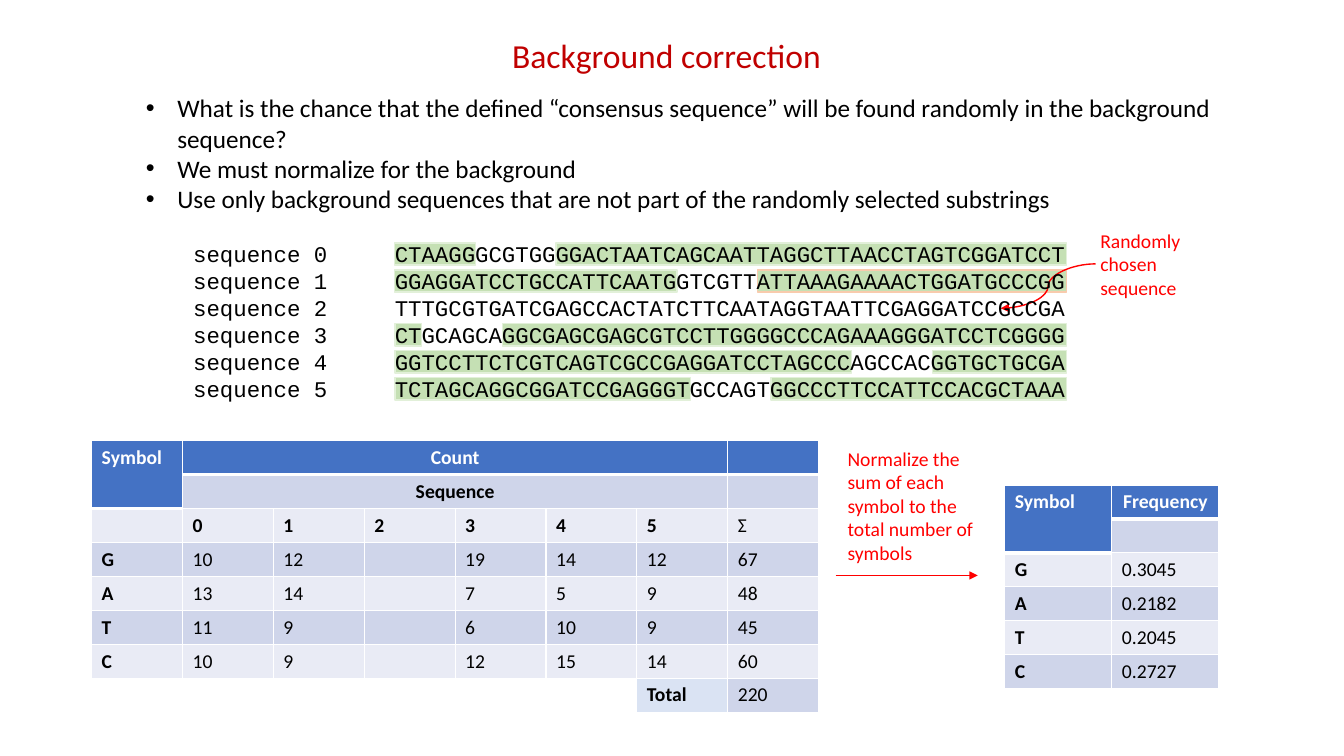
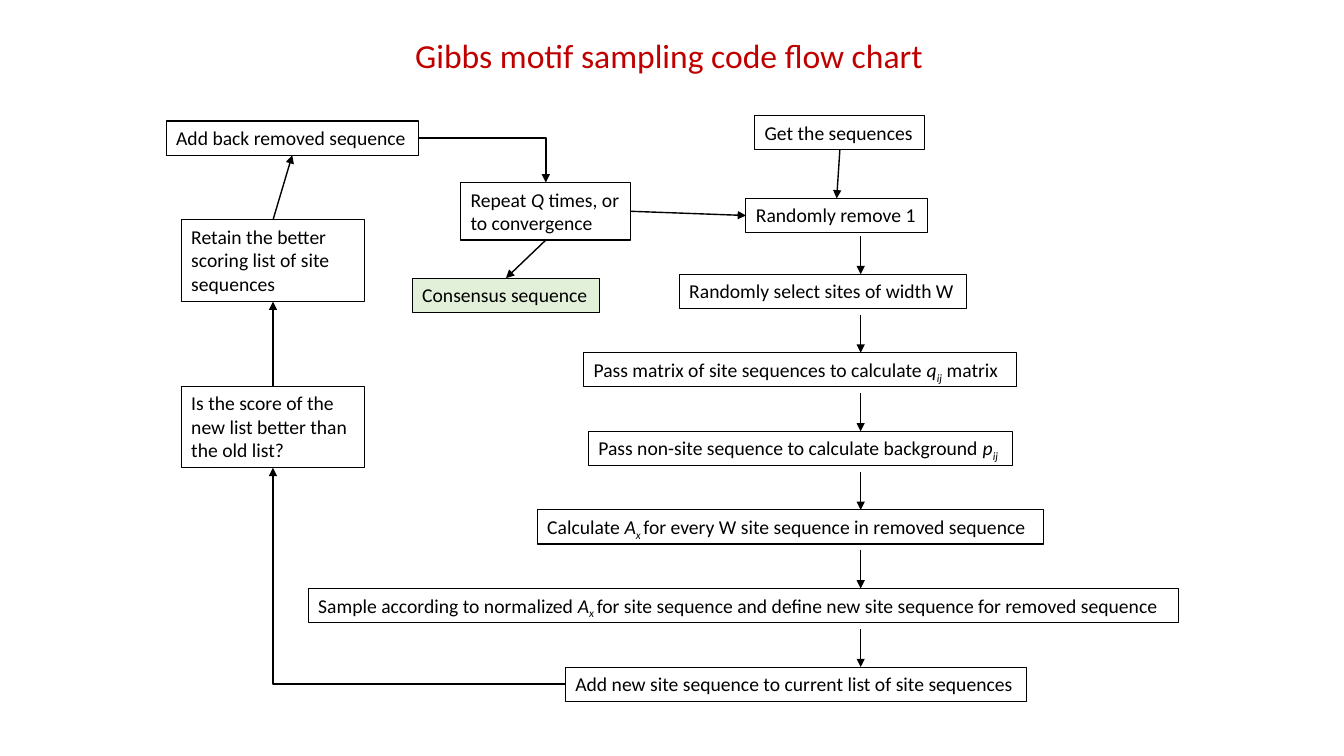
from dataclasses import dataclass

from lxml import etree
from pptx import Presentation
from pptx.dml.color import RGBColor
from pptx.enum.shapes import MSO_CONNECTOR, MSO_SHAPE
from pptx.enum.text import MSO_ANCHOR, MSO_AUTO_SIZE, PP_ALIGN
from pptx.oxml.ns import qn
from pptx.util import Cm, Pt

RECT = MSO_SHAPE.RECTANGLE
STRAIGHT, ELBOW, CURVE = MSO_CONNECTOR.STRAIGHT, MSO_CONNECTOR.ELBOW, MSO_CONNECTOR.CURVE
LEFT, CENTER = PP_ALIGN.LEFT, PP_ALIGN.CENTER
TOP, BOTTOM_SITE, LEFT_SITE, RIGHT_SITE, TOP_SITE = MSO_ANCHOR.TOP, 2, 1, 3, 0

COLORS = {
    "title": "C00000", "text": "000000", "note": "FF0000", "white": "FFFFFF",
    "header": "4472C4", "band_dark": "CFD5EA", "band_light": "E9EBF5", "total": "DAE3F3",
    "mark": "C5E0B4", "mark_line": "E2F0D9", "chosen_line": "F8CBAD", "result": "E2F0D9",
}
SANS, MONO = "Calibri", "Courier New"


@dataclass(frozen=True)
class Span:
    text: str
    italic: bool = False
    sub: bool = False


@dataclass(frozen=True)
class Box:
    """A flow chart step; lengths in cm, one tuple of spans per paragraph."""
    name: str
    left: float
    top: float
    width: float
    lines: tuple
    height: float = 0.86
    wrap: bool = False
    fill: str = "white"


@dataclass(frozen=True)
class Link:
    start: str
    start_site: int
    end: str
    end_site: int
    bent: bool = False


def rgb(name: str) -> RGBColor:
    return RGBColor.from_string(COLORS[name])


def add_run(p, span: Span, size: float, color: str = "text", font: str = SANS, bold=None):
    r = p.add_run()
    r.text = span.text
    r.font.name, r.font.size, r.font.bold = font, Pt(size), bold
    r.font.color.rgb = rgb(color)
    if span.italic:
        r.font.italic = True
    if span.sub:
        r.font._element.set("baseline", "-25000")


def fill_text(tf, lines, size: float, color: str = "text", font: str = SANS, wrap: bool = True) -> None:
    tf.auto_size, tf.word_wrap, tf.vertical_anchor = MSO_AUTO_SIZE.NONE, wrap, TOP
    for i, spans in enumerate(lines):
        p = tf.paragraphs[0] if i == 0 else tf.add_paragraph()
        p.alignment = LEFT
        for span in spans:
            add_run(p, span, size, color, font)


def add_text(s, left: float, top: float, width: float, height: float, texts, size: float, **style):
    sp = s.shapes.add_textbox(Cm(left), Cm(top), Cm(width), Cm(height))
    fill_text(sp.text_frame, [(Span(t),) for t in texts], size, **style)
    return sp.text_frame


def add_rect(s, left: float, top: float, width: float, height: float,
             fill: str, line: str, weight: float):
    sp = s.shapes.add_shape(RECT, Cm(left), Cm(top), Cm(width), Cm(height))
    sp.shadow.inherit = False
    sp.fill.solid()
    sp.fill.fore_color.rgb = rgb(fill)
    sp.line.color.rgb, sp.line.width = rgb(line), Pt(weight)
    return sp


def add_arrow(s, x1: float, y1: float, x2: float, y2: float, color: str = "text", kind=STRAIGHT):
    cxn = s.shapes.add_connector(kind, Cm(x1), Cm(y1), Cm(x2), Cm(y2))
    cxn.line.color.rgb, cxn.line.width = rgb(color), Pt(1)
    etree.SubElement(cxn.line._get_or_add_ln(), qn("a:tailEnd"), type="triangle")
    etree.SubElement(cxn._element.spPr, qn("a:effectLst"))
    return cxn


def add_link(s, link: Link, shapes: dict) -> None:
    cxn = add_arrow(s, 0, 0, 0, 0, kind=ELBOW if link.bent else STRAIGHT)
    cxn.begin_connect(shapes[link.start], link.start_site)
    cxn.end_connect(shapes[link.end], link.end_site)
    if link.bent:
        cxn._element.spPr.find(qn("a:prstGeom")).set("prst", "bentConnector2")


def add_titled_slide(prs, title: str, left: float, width: float):
    s = prs.slides.add_slide(prs.slide_layouts[5])
    sp = s.shapes.title
    sp.left, sp.top, sp.width, sp.height = Cm(left), Cm(0.74), Cm(width), Cm(1.27)
    fill_text(sp.text_frame, [(Span(title),)], 24, "title", wrap=False)
    return s


def add_bullets(tf) -> None:
    for p in tf.paragraphs:
        pPr = p._p.get_or_add_pPr()
        pPr.set("marL", str(Cm(0.79)))
        pPr.set("indent", str(-Cm(0.79)))
        etree.SubElement(pPr, qn("a:buFont"), typeface="Arial")
        etree.SubElement(pPr, qn("a:buChar"), char="•")


def add_tab_stop(p, position: float) -> None:
    tabs = etree.SubElement(p._p.get_or_add_pPr(), qn("a:tabLst"))
    etree.SubElement(tabs, qn("a:tab"), pos=str(Cm(position)), algn="l")


def set_borders(cell, bottom: float) -> None:
    tcPr = cell._tc.get_or_add_tcPr()
    for side, weight in (("L", 1), ("R", 1), ("T", 1), ("B", bottom)):
        ln = etree.SubElement(tcPr, qn(f"a:ln{side}"), w=str(Pt(weight)))
        solid = etree.SubElement(ln, qn("a:solidFill"))
        etree.SubElement(solid, qn("a:srgbClr"), val=COLORS["white"])


def add_grid(s, left: float, top: float, col_width: float, rows, bold_cells=(), fills=None):
    """Banded table: blue first row, bold first column, centred headings in column 1."""
    fills, row_height, n_cols = fills or {}, 0.85, len(rows[0])
    table = s.shapes.add_table(len(rows), n_cols, Cm(left), Cm(top),
                               Cm(col_width * n_cols), Cm(row_height * len(rows))).table
    for col in table.columns:
        col.width = Cm(col_width)
    for i, row in enumerate(rows):
        table.rows[i].height = Cm(row_height)
        band = "header" if i == 0 else "band_dark" if i % 2 else "band_light"
        for j, text in enumerate(row):
            cell = table.cell(i, j)
            set_borders(cell, 3 if i == 0 else 1)
            cell.fill.solid()
            cell.fill.fore_color.rgb = rgb(fills.get((i, j), band))
            p = cell.text_frame.paragraphs[0]
            p.alignment = CENTER if i < 2 and j == 1 else LEFT
            if text:
                bold = i < 2 or j == 0 or (i, j) in bold_cells
                add_run(p, Span(text), 14, "white" if i == 0 else "text", bold=bold)
            else:
                etree.SubElement(p._p, qn("a:endParaRPr"), sz="1400")
    table.cell(0, 0).merge(table.cell(1, 0))
    return table


prs = Presentation()
prs.slide_width, prs.slide_height = Cm(33.87), Cm(19.05)

# Slide 1: background correction
s = add_titled_slide(prs, "Background correction", 12.65, 8.36)
add_text(s, 27.48, 5.64, 3.25, 2.06, ["Randomly chosen sequence"], 14, color="note")
add_bullets(add_text(s, 3.43, 2.21, 27.71, 3.33, [
    "What is the chance that the defined “consensus sequence” will be found randomly "
    "in the background sequence?",
    "We must normalize for the background",
    "Use only background sequences that are not part of the randomly selected substrings",
], 18))

# Marked background on both sides of each six-letter site
SEQUENCES = [
    "CTAAGGGCGTGGGGACTAATCAGCAATTAGGCTTAACCTAGTCGGATCCT",
    "GGAGGATCCTGCCATTCAATGGTCGTTATTAAAGAAAACTGGATGCCCGG",
    "TTTGCGTGATCGAGCCACTATCTTCAATAGGTAATTCGAGGATCCGCCGA",
    "CTGCAGCAGGCGAGCGAGCGTCCTTGGGGCCCAGAAAGGGATCCTCGGGG",
    "GGTCCTTCTCGTCAGTCGCCGAGGATCCTAGCCCAGCCACGGTGCTGCGA",
    "TCTAGCAGGCGGATCCGAGGGTGCCAGTGGCCCTTCCATTCCACGCTAAA",
]
SITE_STARTS = {0: 6, 1: 21, 3: 2, 4: 34, 5: 22}
SITE_WIDTH = 6
CHAR_WIDTH = 0.6 * 16 * 2.54 / 72
LETTERS_LEFT, LISTING_LEFT, TEXT_INSET = 9.95, 4.62, 0.25
for row, site in SITE_STARTS.items():
    for first, last in ((0, site), (site + SITE_WIDTH, len(SEQUENCES[row]))):
        line = "chosen_line" if row == 1 and first else "mark_line"
        add_rect(s, LETTERS_LEFT + first * CHAR_WIDTH, 6.12 + row * 0.68,
                 (last - first) * CHAR_WIDTH, 0.56, "mark", line, 1)
add_arrow(s, 27.61, 6.65, 25.22, 7.77, "note", CURVE)

# Count and frequency tables
COUNTS = {
    "G": [10, 12, None, 19, 14, 12],
    "A": [13, 14, None, 7, 5, 9],
    "T": [11, 9, None, 6, 10, 9],
    "C": [10, 9, None, 12, 15, 14],
}
sums = {symbol: sum(n or 0 for n in counts) for symbol, counts in COUNTS.items()}
total = sum(sums.values())
count_rows = [
    ["Symbol", "Count"] + [""] * 6,
    ["", "Sequence"] + [""] * 6,
    ["", *(str(n) for n in range(6)), "Σ"],
    *([symbol, *("" if n is None else str(n) for n in counts), str(sums[symbol])]
      for symbol, counts in COUNTS.items()),
    [""] * 6 + ["Total", str(total)],
]
total_fills = {(7, j): "white" for j in range(6)} | {(7, 6): "total"}
counts_table = add_grid(s, 2.31, 11.1, 2.29, count_rows,
                        [(2, j) for j in range(1, 7)] + [(7, 6)], total_fills)
for i in range(2):
    counts_table.cell(i, 1).merge(counts_table.cell(i, 6))
add_grid(s, 25.32, 12.22, 2.7, [["Symbol", "Frequency"], ["", ""]]
         + [[symbol, f"{n / total:.4f}"] for symbol, n in sums.items()])
add_text(s, 21.11, 11.13, 4.17, 3.25,
         ["Normalize the sum of each symbol to the total number of symbols"], 14, color="note")
add_arrow(s, 21.06, 14.5, 24.64, 14.5, "note")

# Sequence listing, its letters tabbed to the left edge of the marks
tf = add_text(s, LISTING_LEFT, 5.92, 22.78, 4.37,
              [f"sequence {i}\t{seq}" for i, seq in enumerate(SEQUENCES)],
              16, font=MONO, wrap=False)
for p in tf.paragraphs:
    p.line_spacing = Pt(19.3)
    add_tab_stop(p, LETTERS_LEFT - LISTING_LEFT - TEXT_INSET)

# Slide 2: flow chart
s = add_titled_slide(prs, "Gibbs motif sampling code flow chart", 10.21, 13.44)
STEP_TOP, STEP_PITCH = 6.91, 1.98
A_X = (Span("A", True), Span("x ", True, True))
STEPS = [  # left, width, spans
    (17.12, 7.24, (Span("Randomly select sites of width W"),)),
    (14.71, 10.92, (Span("Pass matrix of site sequences to calculate "), Span("q", True),
                    Span("ij", True, True), Span(" matrix "))),
    (14.83, 10.69, (Span("Pass non-site sequence to calculate background "), Span("p", True),
                    Span("ij", True, True))),
    (13.54, 12.75, (Span("Calculate "), *A_X,
                    Span("for every W site sequence in removed sequence"))),
    (7.77, 21.92, (Span("Sample according to normalized "), *A_X,
                   Span("for site sequence and define new site sequence for removed sequence"))),
    (14.25, 11.63, (Span("Add new site sequence to current list of site sequences"),)),
]
BOXES = [
    Box("get", 19.02, 2.92, 4.29, ((Span("Get the sequences"),),)),
    Box("remove", 18.8, 5, 4.57, ((Span("Randomly remove 1"),),)),
    *(Box(f"step {i}", left, STEP_TOP + i * STEP_PITCH, width, (spans,))
      for i, (left, width, spans) in enumerate(STEPS)),
    Box("add back", 4.19, 3.05, 6.35, ((Span("Add back removed sequence"),),)),
    Box("compare", 4.57, 9.73, 4.62,
        ((Span("Is the score of the new list better than the old list?"),),), 2.06, True),
    Box("retain", 4.57, 5.54, 4.62,
        ((Span("Retain the better scoring list of site sequences"),),), 2.06, True),
    Box("repeat", 11.61, 4.6, 4.29,
        ((Span("Repeat "), Span("Q", True), Span(" times, or")), (Span("to convergence"),)), 1.45),
    Box("consensus", 10.39, 7.01, 4.72, ((Span("Consensus sequence"),),), fill="result"),
]
LINKS = [
    Link("get", BOTTOM_SITE, "remove", TOP_SITE),
    Link("step 5", LEFT_SITE, "compare", BOTTOM_SITE, bent=True),
    Link("compare", TOP_SITE, "retain", BOTTOM_SITE),
    Link("retain", TOP_SITE, "add back", BOTTOM_SITE),
    Link("add back", RIGHT_SITE, "repeat", TOP_SITE, bent=True),
    Link("repeat", RIGHT_SITE, "remove", LEFT_SITE),
    Link("repeat", BOTTOM_SITE, "consensus", TOP_SITE),
]
shapes = {}
for box in BOXES:
    sp = add_rect(s, box.left, box.top, box.width, box.height, box.fill, "text", 0.75)
    fill_text(sp.text_frame, box.lines, 14, wrap=box.wrap)
    shapes[box.name] = sp
for link in LINKS:
    add_link(s, link, shapes)
for i in range(len(STEPS)):
    top = STEP_TOP + i * STEP_PITCH
    add_arrow(s, 21.69, top - 0.96, 21.69, top)

prs.save("out.pptx")
